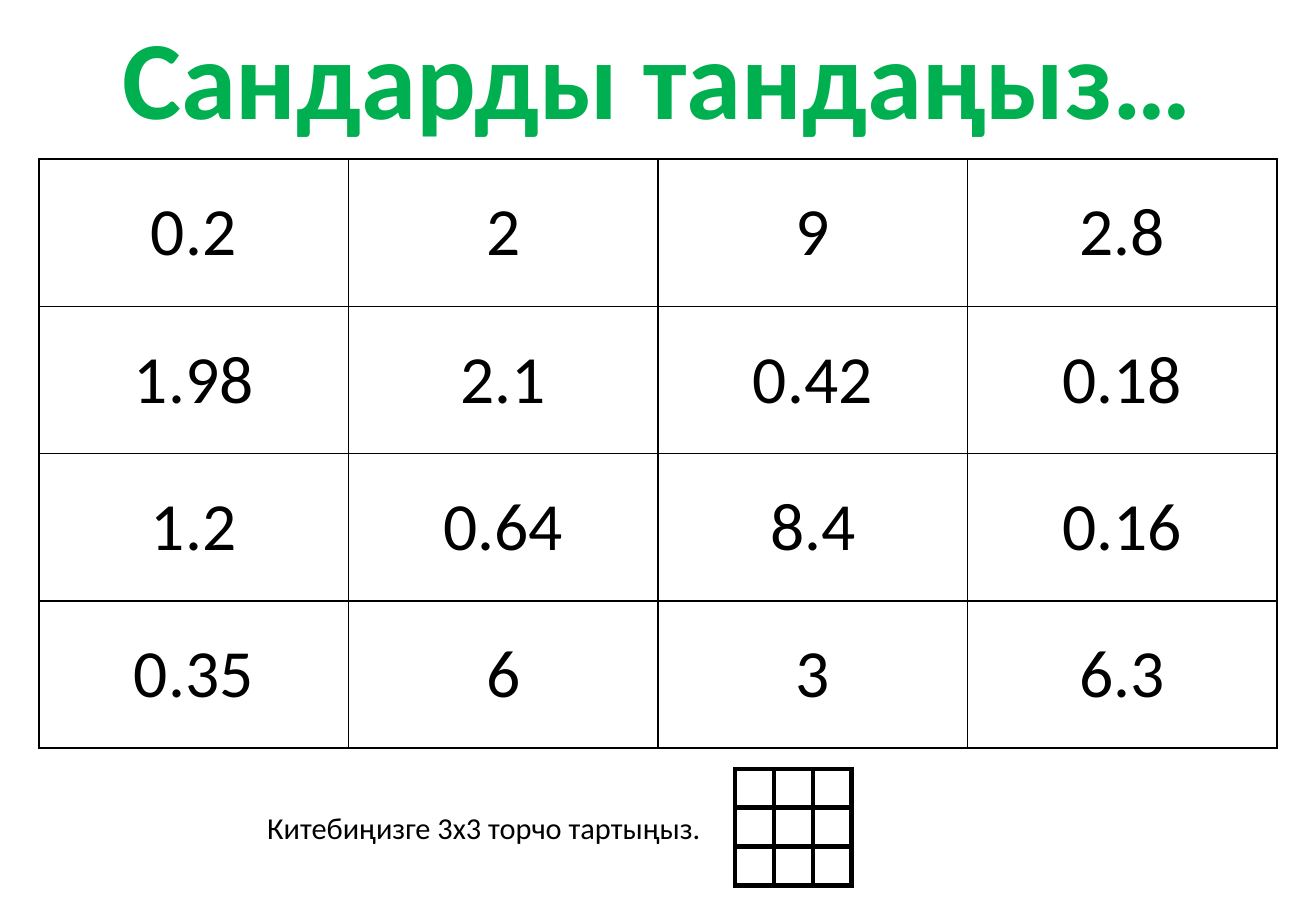
from lxml.etree import SubElement as Sub
from pptx import Presentation
from pptx.dml.color import RGBColor
from pptx.enum.text import MSO_ANCHOR as Anchor, MSO_AUTO_SIZE as Auto, PP_ALIGN as Align
from pptx.oxml.ns import qn
from pptx.util import Inches, Pt

BLACK = RGBColor(0, 0, 0)
WHITE = RGBColor(255, 255, 255)
GREEN = RGBColor(0, 176, 80)
FONT = "Calibri"

NUMBERS = [
    ["0.2", "2", "9", "2.8"],
    ["1.98", "2.1", "0.42", "0.18"],
    ["1.2", "0.64", "8.4", "0.16"],
    ["0.35", "6", "3", "6.3"],
]
BLANKS = [[""] * 3] * 3
TABLES = [
    (NUMBERS, (0.32, 1.31, 10.19, 4.85), 1),
    (BLANKS, (6.05, 6.33, 0.96, 0.96), 3),
]
TEXTS = [
    ("Сандарды тандаңыз…", (0.79, 0.02, 9.24, 1.21), 66, GREEN, True, Align.CENTER),
    ("Китебиңизге 3х3 торчо тартыңыз.", (2.1, 6.61, 3.81, 0.4), 18, BLACK, False, Align.LEFT),
]


def style(para, size, color, bold, align):
    para.alignment = align
    for run in para.runs:
        font = run.font
        font.name, font.size, font.bold = FONT, Pt(size), bold
        font.color.rgb = color


def border(cell, width):
    props = cell._tc.get_or_add_tcPr()
    for side in ("lnL", "lnR", "lnT", "lnB"):
        line = Sub(props, qn("a:" + side), w=str(Pt(width)))
        fill = Sub(line, qn("a:solidFill"))
        Sub(fill, qn("a:srgbClr"), val=str(BLACK))


def add_grid(slide, rows, box, width):
    count = len(rows)
    left, top, wide, high = map(Inches, box)
    table = slide.shapes.add_table(count, count, left, top, wide, high).table
    table.first_row = table.horz_banding = False
    for i, row in enumerate(rows):
        table.rows[i].height = high // count
        table.columns[i].width = wide // count
        for j, text in enumerate(row):
            cell = table.cell(i, j)
            cell.margin_left = cell.margin_right = 0
            cell.margin_top = cell.margin_bottom = 0
            cell.vertical_anchor = Anchor.MIDDLE
            border(cell, width)
            cell.fill.solid()
            cell.fill.fore_color.rgb = WHITE
            if text:
                cell.text_frame.text = text
                style(cell.text_frame.paragraphs[0], 40, BLACK, False, Align.CENTER)


def add_label(slide, text, box, *look):
    frame = slide.shapes.add_textbox(*map(Inches, box)).text_frame
    frame.word_wrap = False
    frame.auto_size = Auto.SHAPE_TO_FIT_TEXT
    frame.text = text
    style(frame.paragraphs[0], *look)


def main():
    deck = Presentation()
    deck.slide_width, deck.slide_height = Inches(10.83), Inches(7.5)
    slide = deck.slides.add_slide(deck.slide_layouts[6])
    for grid, label in zip(TABLES, TEXTS):
        add_grid(slide, *grid)
        add_label(slide, *label)
    deck.save("out.pptx")


if __name__ == "__main__":
    main()
